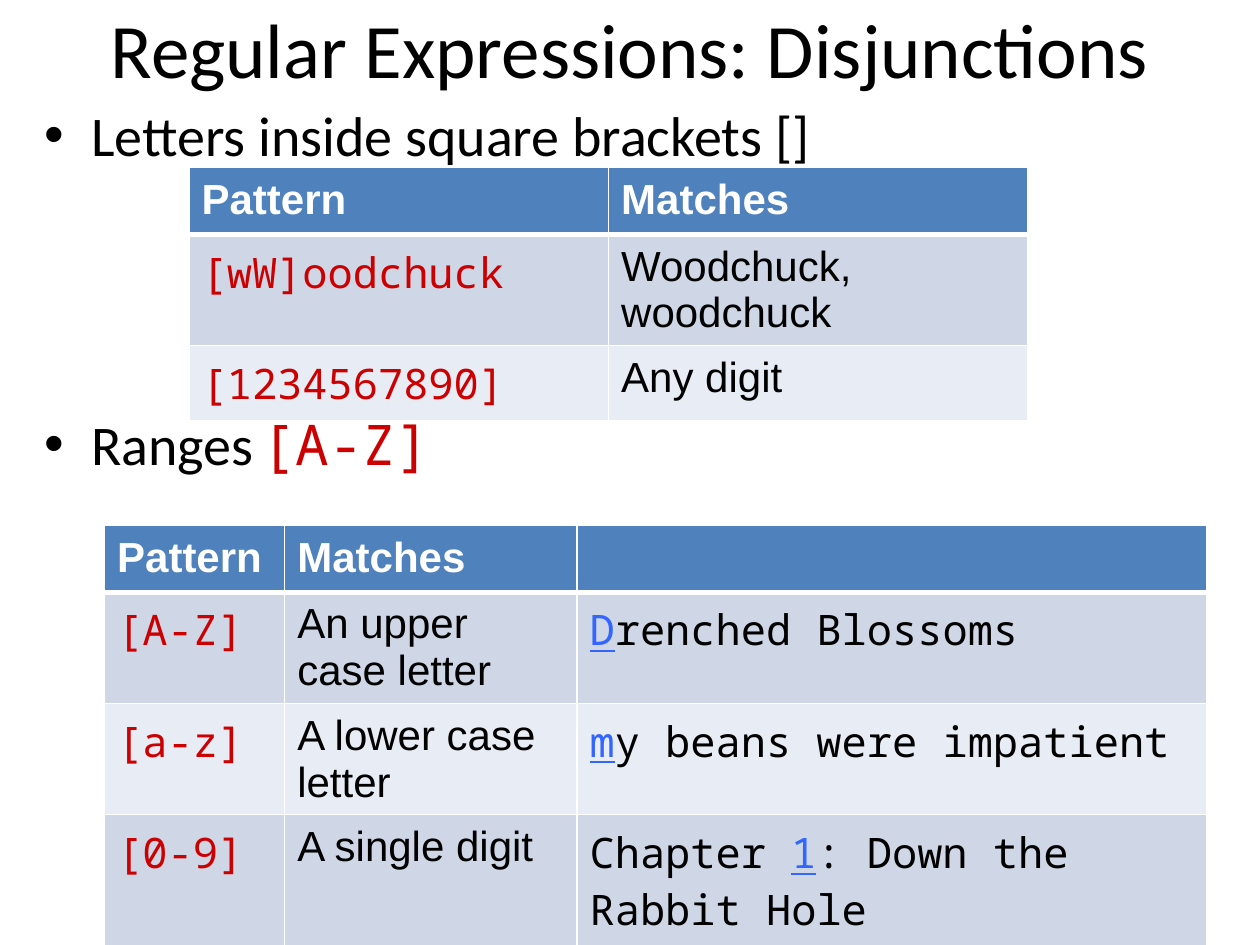
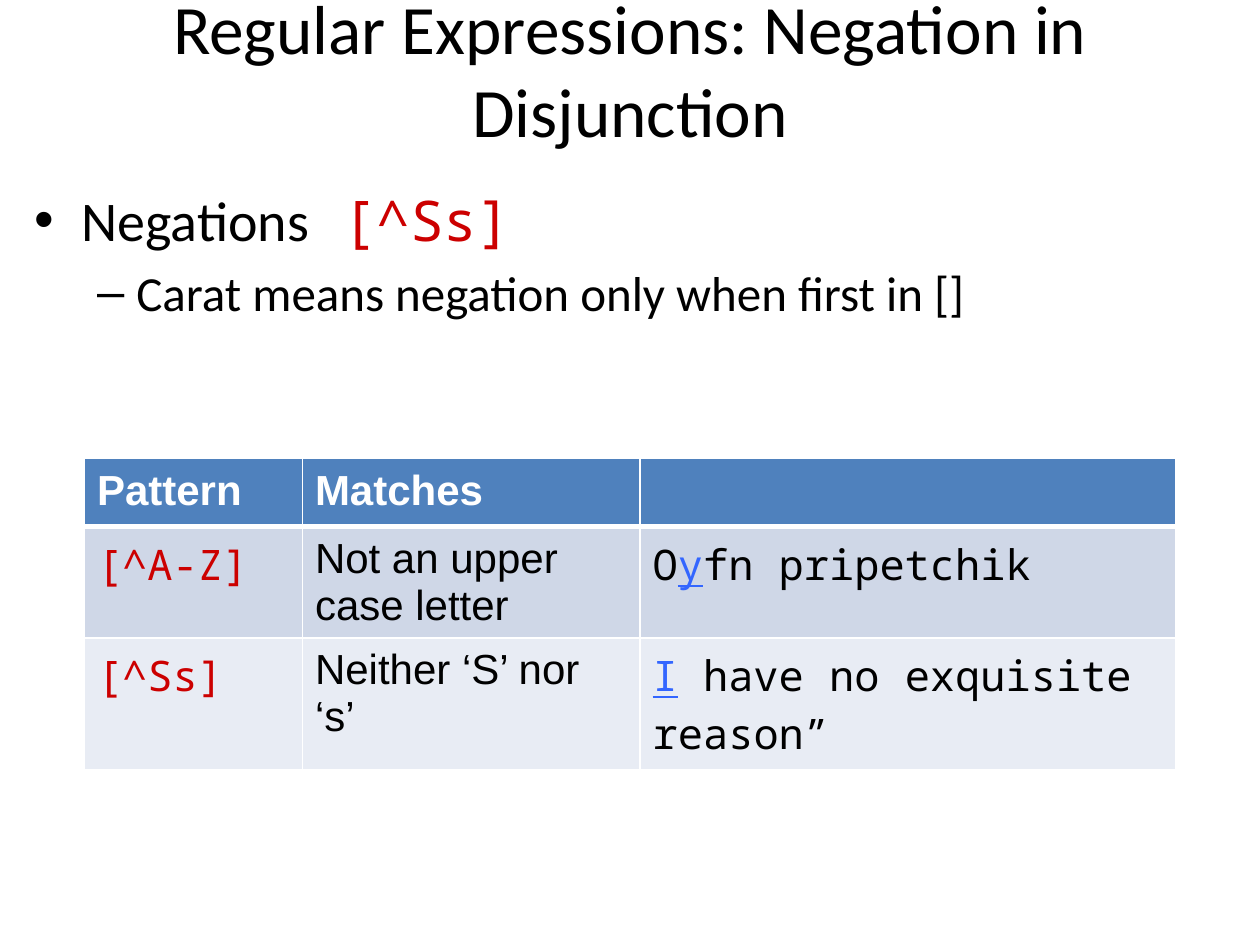
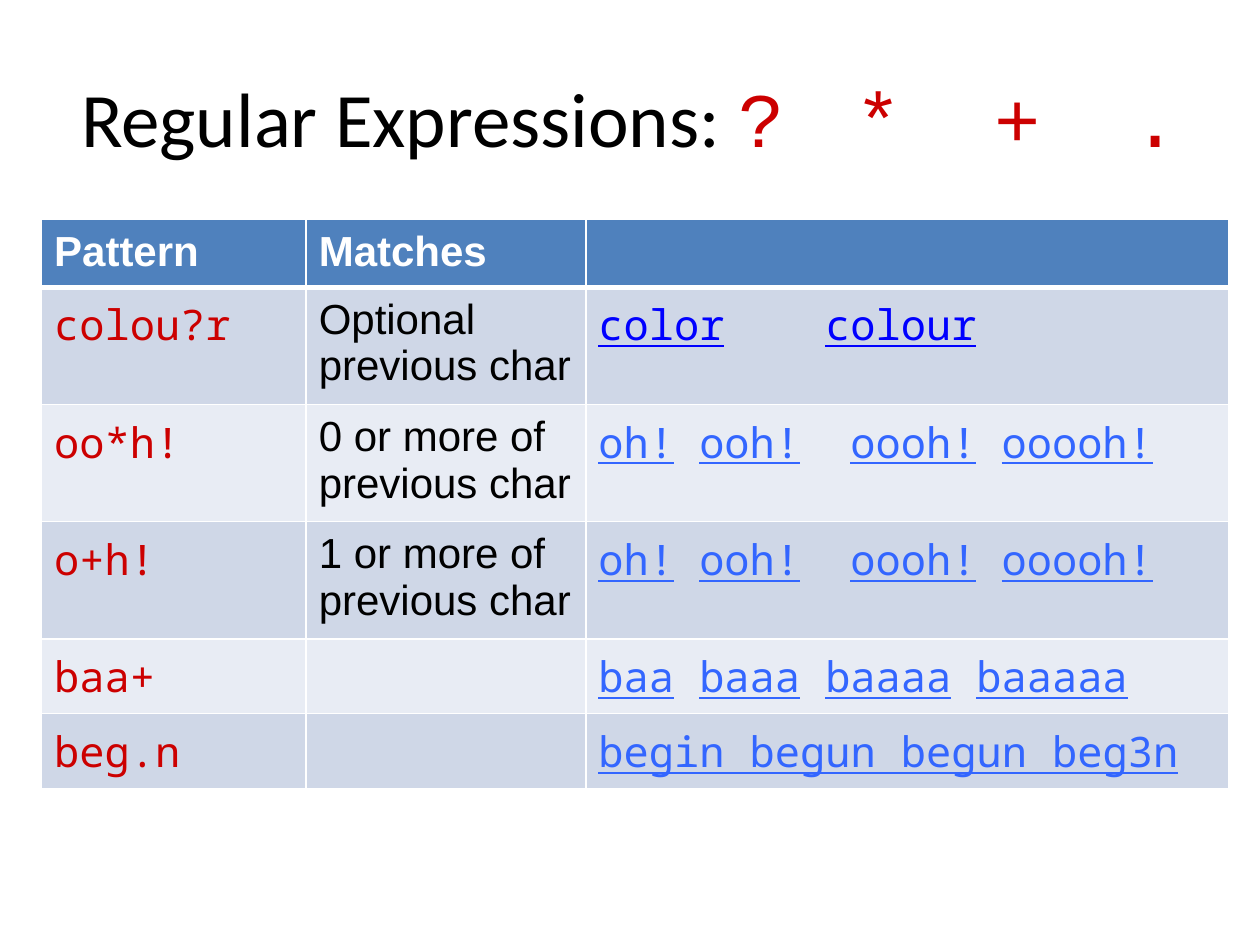
"""Build three slides on regular expressions with pattern tables."""
from lxml.etree import SubElement
from pptx import Presentation
from pptx.dml.color import RGBColor
from pptx.enum.text import MSO_AUTO_SIZE as AutoSize, MSO_ANCHOR as Anchor, PP_ALIGN as Align
from pptx.oxml import parse_xml
from pptx.oxml.ns import nsdecls, qn
from pptx.util import Inches, Pt

COLORS = {"black": "000000", "white": "FFFFFF", "red": "CC0000", "match": "3366FF",
          "link": "0000FF", "header": "4F81BD", "odd": "CFD7E7", "even": "E8ECF4"}
STYLES = {
    "text": ("Calibri", "black", False),
    "header": ("Arial", "white", False),
    "meaning": ("Arial", "black", False),
    "pattern": ("Noto Sans Mono", "red", False),
    "operator": ("Courier New", "red", False),
    "code": ("Noto Sans Mono", "black", False),
    "match": ("Noto Sans Mono", "match", True),
    "link": ("Noto Sans Mono", "link", True),
}
TITLE_SIZE, BODY_SIZE, SUB_SIZE, TABLE_SIZE = 44, 32, 28, 24
CODE_ADVANCE = 0.6 * TABLE_SIZE
OPERATOR_ADVANCE = 0.6 * TITLE_SIZE

SPACE = (" ", "code")
WIDE = (" ", "code", CODE_ADVANCE)
WIDER = (" ", "code", 3 * CODE_ADVANCE)
OPERATOR_GAP = (" ", "operator", OPERATOR_ADVANCE)
OOH = [("oh!", "match"), SPACE, ("ooh!", "match"), WIDE,
       ("oooh!", "match"), SPACE, ("ooooh!", "match")]

SLIDES = [
    {
        "title": [("Regular Expressions: Disjunctions", "text")],
        "title_box": (0.5, -0.25, 9, 1.25),
        "body_box": (0.25, 0.75, 8.52, 6.44),
        "body": [
            {"runs": [("Letters inside square brackets []", "text")]},
            {"runs": [("Ranges", "text"), (" ", "text", 0, 20), ("[A-Z]", "pattern")],
             "before": 138},
        ],
        "tables": [
            {"at": (1.5, 1.33), "columns": (3.33, 3.33), "rows": (0.53,) * 3,
             "header": ("Pattern", "Matches"),
             "entries": [("[wW]oodchuck", "Woodchuck, woodchuck"),
                         ("[1234567890]", "Any digit")]},
            {"at": (0.83, 4.17), "columns": (1.43, 2.32, 5), "rows": (0.53,) * 4,
             "header": ("Pattern", "Matches", ""),
             "entries": [
                 ("[A-Z]", "An upper case letter",
                  [("D", "match"), ("renched Blossoms", "code")]),
                 ("[a-z]", "A lower case letter",
                  [("m", "match"), ("y beans were impatient", "code")]),
                 ("[0-9]", "A single digit",
                  [("Chapter ", "code"), ("1", "match"), (": Down the Rabbit Hole", "code")]),
             ]},
        ],
    },
    {
        "title": [("Regular Expressions: Negation in Disjunction", "text")],
        "title_box": (0, 0, 10, 1.08),
        "title_size": 39.6,
        "body_box": (0.17, 1.42, 9.5, 6.08),
        "body": [
            {"runs": [("Negations", "text"), (" [^Ss]", "pattern")]},
            {"runs": [("Carat means negation only when first in []", "text")], "level": 1},
        ],
        "tables": [
            {"at": (0.67, 3.64), "columns": (1.73, 2.68, 4.25), "rows": (0.54,) * 3,
             "header": ("Pattern", "Matches", ""),
             "entries": [
                 ("[^A-Z]", "Not an upper case letter",
                  [("O", "code"), ("y", "match"), ("fn pripetchik", "code")]),
                 ("[^Ss]", "Neither ‘S’ nor ‘s’",
                  [("I", "match"), (" have no exquisite reason”", "code")]),
             ]},
        ],
    },
    {
        "title": [("Regular Expressions: ", "text"), ("?", "operator"),
                  (" ", "operator", 14), ("*", "operator"), OPERATOR_GAP,
                  ("+", "operator"), OPERATOR_GAP, (".", "operator")],
        "title_box": (0.5, 0.3, 9, 1.25),
        "tables": [
            {"at": (0.33, 1.74), "columns": (2.1, 2.22, 5.1),
             "rows": (0.54, 0.93, 0.93, 0.93, 0.54, 0.54),
             "header": ("Pattern", "Matches", ""),
             "entries": [
                 ("colou?r", "Optional previous char",
                  [("color", "link"), WIDER, ("colour", "link")]),
                 ("oo*h!", "0 or more of previous char", OOH),
                 ("o+h!", "1 or more of previous char", OOH),
                 ("baa+", "", [("baa", "match"), SPACE, ("baaa", "match"), SPACE,
                               ("baaaa", "match"), SPACE, ("baaaaa", "match")]),
                 ("beg.n", "", [("begin begun begun beg3n", "match")]),
             ]},
        ],
    },
]


def color(name):
    return RGBColor.from_string(COLORS[name])


def add_runs(para, runs, size, bold=False):
    for text, style, spacing, own_size in (tuple(run) + (0, None)[len(run) - 2:]
                                           if len(run) < 4 else run for run in runs):
        font_name, font_color, underline = STYLES[style]
        span = para.add_run()
        span.text = text
        span.font.name = font_name
        span.font.size = Pt(own_size or size)
        span.font.bold = bold
        span.font.underline = underline
        span.font.color.rgb = color(font_color)
        if spacing:
            span.font._element.set("spc", str(round(spacing * 100)))


def place(shape, box):
    shape.left, shape.top, shape.width, shape.height = map(Inches, box)
    shape.text_frame.word_wrap = True
    shape.text_frame.auto_size = AutoSize.NONE


def set_title(slide, content):
    title = slide.shapes.title
    place(title, content["title_box"])
    title.text_frame.vertical_anchor = Anchor.MIDDLE
    para = title.text_frame.paragraphs[0]
    para.alignment = Align.CENTER
    add_runs(para, content["title"], content.get("title_size", TITLE_SIZE))


def set_body(slide, content):
    body = slide.placeholders[1]
    place(body, content["body_box"])
    frame = body.text_frame
    for index, item in enumerate(content["body"]):
        para = frame.add_paragraph() if index else frame.paragraphs[0]
        para.level = item.get("level", 0)
        if "before" in item:
            para.space_before = Pt(item["before"])
        add_runs(para, item["runs"], SUB_SIZE if para.level else BODY_SIZE)


def set_borders(cell, row):
    properties = cell._tc.get_or_add_tcPr()
    widths = {"L": 1, "R": 1, "T": 3 if row == 1 else 1, "B": 1 if row else 3}
    for index, (side, width) in enumerate(widths.items()):
        line = parse_xml(f'<a:ln{side} {nsdecls("a")} w="{Pt(width)}"/>')
        fill = SubElement(line, qn("a:solidFill"))
        SubElement(fill, qn("a:srgbClr"), val=COLORS["white"])
        properties.insert(index, line)


def fill_cell(cell, row, runs):
    cell.margin_left = cell.margin_right = Inches(0.1)
    cell.margin_top = cell.margin_bottom = Inches(0.07)
    cell.fill.solid()
    cell.fill.fore_color.rgb = color("header" if row == 0 else "odd" if row % 2 else "even")
    set_borders(cell, row)
    add_runs(cell.text_frame.paragraphs[0], runs, TABLE_SIZE, bold=row == 0)


def add_pattern_table(slide, content):
    columns, rows = content["columns"], content["rows"]
    box = (*content["at"], sum(columns), sum(rows))
    table = slide.shapes.add_table(len(rows), len(columns), *map(Inches, box)).table
    for column, width in zip(table.columns, columns):
        column.width = Inches(width)
    for row, height in zip(table.rows, rows):
        row.height = Inches(height)
    for row, entry in enumerate([content["header"], *content["entries"]]):
        for column, value in enumerate(entry):
            if isinstance(value, str):
                style = "header" if row == 0 else ("pattern", "meaning")[column]
                value = [(value, style)] if value else []
            fill_cell(table.cell(row, column), row, value)


def main():
    deck = Presentation()
    deck.slide_width, deck.slide_height = Inches(10), Inches(7.5)
    for content in SLIDES:
        slide = deck.slides.add_slide(deck.slide_layouts[1 if "body" in content else 5])
        set_title(slide, content)
        if "body" in content:
            set_body(slide, content)
        for table in content["tables"]:
            add_pattern_table(slide, table)
    deck.save("out.pptx")


if __name__ == "__main__":
    main()
